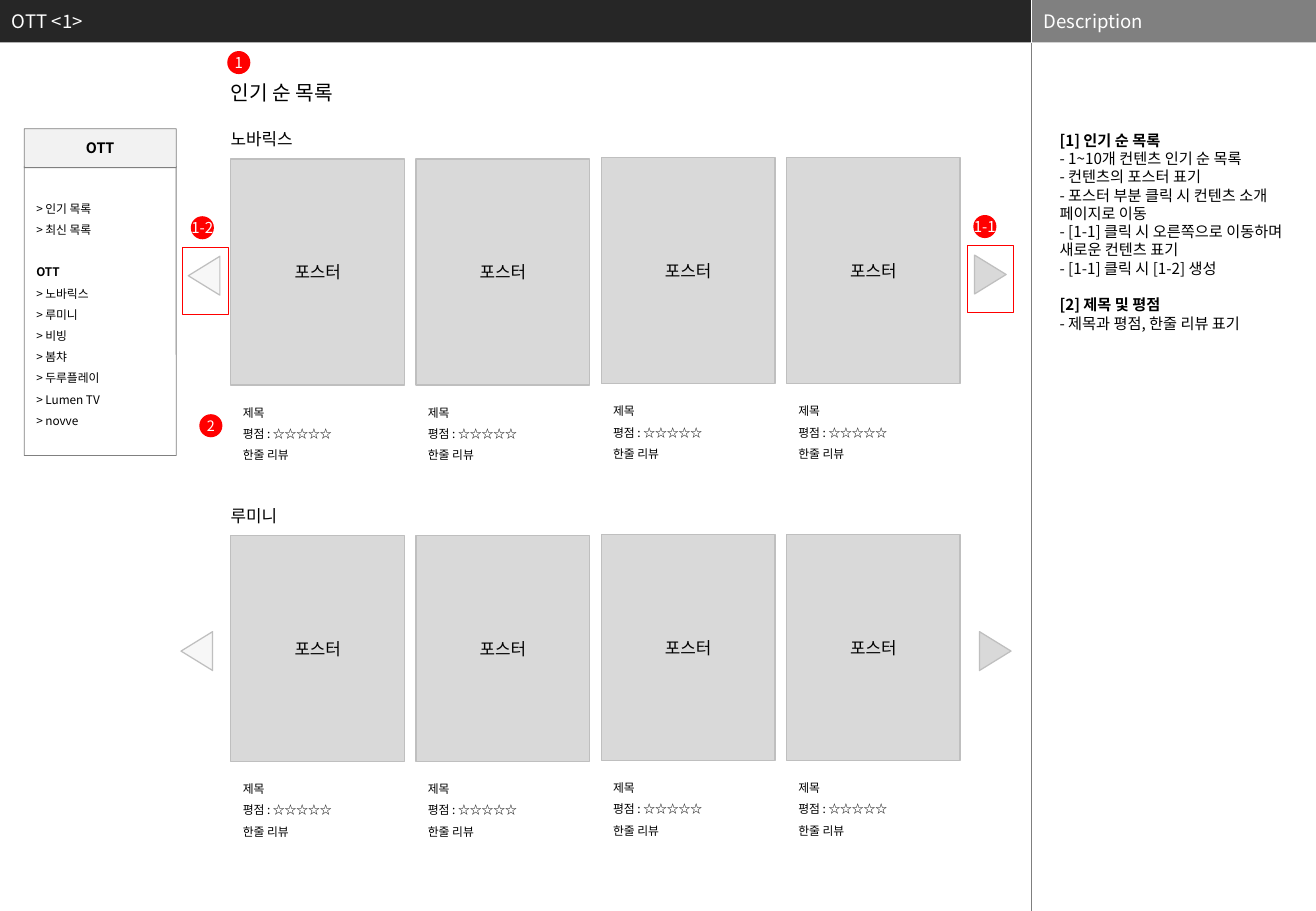
from dataclasses import dataclass

from lxml.etree import SubElement
from pptx import Presentation
from pptx.dml.color import RGBColor
from pptx.enum.shapes import MSO_CONNECTOR as Connector, MSO_SHAPE as Preset
from pptx.enum.text import MSO_ANCHOR as Anchor, PP_ALIGN as Align
from pptx.oxml.ns import qn
from pptx.util import Inches, Pt

FONT = "Noto Sans CJK KR"
COLUMNS, ROWS = 108.3, 75
HEADER = 3.5
DIVIDER = 84.9
CARD_LEFT, CARD_PITCH, CARD_WIDTH, CARD_HEIGHT = 19, 15.24, 14.3, 18.6
CARDS_PER_SHELF = 4
WIDE_INSET = (1, 0.5)


@dataclass(frozen=True)
class Area:
    left: float
    top: float
    width: float
    height: float


@dataclass(frozen=True)
class Line:
    text: str
    size: float
    color: str = "000000"
    bold: bool = False
    spacing: float = 1.0
    before: float = 0


@dataclass(frozen=True)
class Style:
    fill: str | None = None
    line: str | None = None
    weight: float = 0.75


@dataclass(frozen=True)
class Shelf:
    name: str
    top: float


@dataclass(frozen=True)
class Badge:
    label: str
    left: float
    top: float
    size: float = 8.9


@dataclass(frozen=True)
class Arrow:
    left: float
    top: float
    rotation: float
    fill: str


POSTER = Style("D9D9D9", "BFBFBF")
MENU_BORDER = Style(None, "808080", 0.5)
MENU_HEADER = Style("F2F2F2", "808080", 0.5)
CLICK_FRAME = Style(None, "FF0000")

MENU = [
    Line("> 인기 목록", 7, spacing=1.5),
    Line("> 최신 목록", 7, spacing=1.5),
    Line("OTT", 7, bold=True, spacing=1.5, before=12.6),
    *(Line(f"> {name}", 7, spacing=1.5) for name in
      ("노바릭스", "루미니", "비빙", "봄챠", "두루플레이", "Lumen TV", "novve")),
]
CAPTION = [Line(text, 7, spacing=1.5) for text in ("제목", "평점 : ☆☆☆☆☆", "한줄 리뷰")]
DESCRIPTION = [
    Line("[1] 인기 순 목록", 9, bold=True),
    Line("- 1~10개 컨텐츠 인기 순 목록", 9),
    Line("- 컨텐츠의 포스터 표기", 9),
    Line("- 포스터 부분 클릭 시 컨텐츠 소개 페이지로 이동", 9),
    Line("- [1-1] 클릭 시 오른쪽으로 이동하며 새로운 컨텐츠 표기", 9),
    Line("- [1-1] 클릭 시 [1-2] 생성", 9),
    Line("[2] 제목 및 평점", 9, bold=True, before=10.8),
    Line("- 제목과 평점, 한줄 리뷰 표기", 9),
]
SHELVES = [Shelf("노바릭스", 13.1), Shelf("루미니", 44.1)]
BADGES = [Badge("1", 18.7, 4.2), Badge("2", 16.4, 34.1, 8.5),
          Badge("1-1", 80.1, 17.7), Badge("1-2", 15.7, 17.8)]
ARROWS = [Arrow(79.9, 21.3, 90, "D9D9D9"), Arrow(80.3, 52.3, 90, "D9D9D9"),
          Arrow(15.2, 21.4, 270, "F7F7F7"), Arrow(14.6, 52.3, 270, "F7F7F7")]
FRAMES = [Area(79.6, 20.2, 3.8, 5.5), Area(15, 20.4, 3.8, 5.5)]


def grid(units: float) -> int:
    return Inches(units / 10)


def place(area: Area) -> tuple[int, int, int, int]:
    return grid(area.left), grid(area.top), grid(area.width), grid(area.height)


def paint(color_format, color: str) -> None:
    color_format.rgb = RGBColor.from_string(color)


def write(box, lines: list[Line], align=Align.LEFT, anchor=Anchor.TOP,
          inset: tuple[float, float] = WIDE_INSET, wrap: bool = True) -> None:
    frame = box.text_frame
    frame.word_wrap = wrap
    frame.vertical_anchor = anchor
    frame.margin_left = frame.margin_right = grid(inset[0])
    frame.margin_top = frame.margin_bottom = grid(inset[1])
    for index, line in enumerate(lines):
        para = frame.add_paragraph() if index else frame.paragraphs[0]
        para.alignment = align
        para.line_spacing = line.spacing
        para.space_before = Pt(line.before)
        span = para.add_run()
        span.text = line.text
        span.font.size = Pt(line.size)
        span.font.bold = line.bold
        span.font.name = FONT
        paint(span.font.color, line.color)
        SubElement(span.font._element, qn("a:ea")).set("typeface", FONT)


def add_text(shapes, area: Area, lines: list[Line], **layout):
    box = shapes.add_textbox(*place(area))
    write(box, lines, **layout)
    return box


def add_box(shapes, preset: Preset, area: Area, style: Style):
    box = shapes.add_shape(preset, *place(area))
    box.shadow.inherit = False
    if preset == Preset.ROUNDED_RECTANGLE:
        box.adjustments[0] = 0.001
    if style.fill:
        box.fill.solid()
        paint(box.fill.fore_color, style.fill)
    else:
        box.fill.background()
    if style.line:
        paint(box.line.color, style.line)
        box.line.width = Pt(style.weight)
    else:
        box.line.fill.background()
    return box


def add_divider(shapes, top: float, bottom: float, color: str) -> None:
    rule = shapes.add_connector(Connector.STRAIGHT, grid(DIVIDER), grid(top),
                                grid(DIVIDER), grid(bottom))
    paint(rule.line.color, color)
    rule.line.width = Pt(0.25)
    SubElement(rule._element.spPr, qn("a:effectLst"))


def add_frame(shapes) -> None:
    side = COLUMNS - DIVIDER
    for title, left, width, fill in (("OTT <1>", 0, DIVIDER, "262626"),
                                     ("Description", DIVIDER, side, "808080")):
        area = Area(left, 0, width, HEADER)
        add_box(shapes, Preset.RECTANGLE, area, Style(fill))
        add_text(shapes, area, [Line(title, 11, "FFFFFF")], anchor=Anchor.MIDDLE)
    add_divider(shapes, 0, HEADER, "FFFFFF")
    add_divider(shapes, HEADER, ROWS, "7F7F7F")
    add_text(shapes, Area(86.9, 10.8, 19, 58.1), DESCRIPTION, inset=(0.3, 0))


def add_menu(shapes) -> None:
    panel = add_box(shapes, Preset.ROUNDED_RECTANGLE, Area(2, 13.7, 12.5, 23.8), MENU_BORDER)
    write(panel, MENU, anchor=Anchor.MIDDLE)
    header = add_box(shapes, Preset.ROUNDED_RECTANGLE, Area(2, 10.6, 12.5, 3.2), MENU_HEADER)
    write(header, [Line("OTT", 8.5, bold=True)], align=Align.CENTER, anchor=Anchor.MIDDLE)


def add_shelf(shapes, shelf: Shelf) -> None:
    add_text(shapes, Area(18, shelf.top - 3, 32, 2.7), [Line(shelf.name, 10)])
    for index in range(CARDS_PER_SHELF):
        left = CARD_LEFT + index * CARD_PITCH
        top = shelf.top - 0.1 * (index // 2)
        poster = add_box(shapes, Preset.RECTANGLE,
                         Area(left, top, CARD_WIDTH, CARD_HEIGHT), POSTER)
        write(poster, [Line("포스터", 10)], align=Align.CENTER, anchor=Anchor.MIDDLE,
              inset=(0.4, 0.4), wrap=False)
        add_text(shapes, Area(left, top + 19.2, CARD_WIDTH, 6.1), CAPTION)


def add_controls(shapes) -> None:
    for arrow in ARROWS:
        box = add_box(shapes, Preset.ISOSCELES_TRIANGLE,
                      Area(arrow.left, arrow.top, 3.2, 2.6), Style(arrow.fill, "BFBFBF"))
        box.rotation = arrow.rotation
    for area in FRAMES:
        add_box(shapes, Preset.RECTANGLE, area, CLICK_FRAME)
    for badge in BADGES:
        box = add_box(shapes, Preset.OVAL, Area(badge.left, badge.top, 1.9, 1.9), Style("FF0000"))
        write(box, [Line(badge.label, badge.size, "FFFFFF")], align=Align.CENTER,
              anchor=Anchor.MIDDLE, inset=(0, 0), wrap=False)


def main() -> None:
    deck = Presentation()
    deck.slide_width, deck.slide_height = grid(COLUMNS), grid(ROWS)
    page = deck.slides.add_slide(deck.slide_layouts[6])
    add_frame(page.shapes)
    add_menu(page.shapes)
    add_text(page.shapes, Area(18, 6.1, 23.9, 3), [Line("인기 순 목록", 12)])
    for shelf in SHELVES:
        add_shelf(page.shapes.add_group_shape().shapes, shelf)
    add_controls(page.shapes)
    deck.save("out.pptx")


if __name__ == "__main__":
    main()
